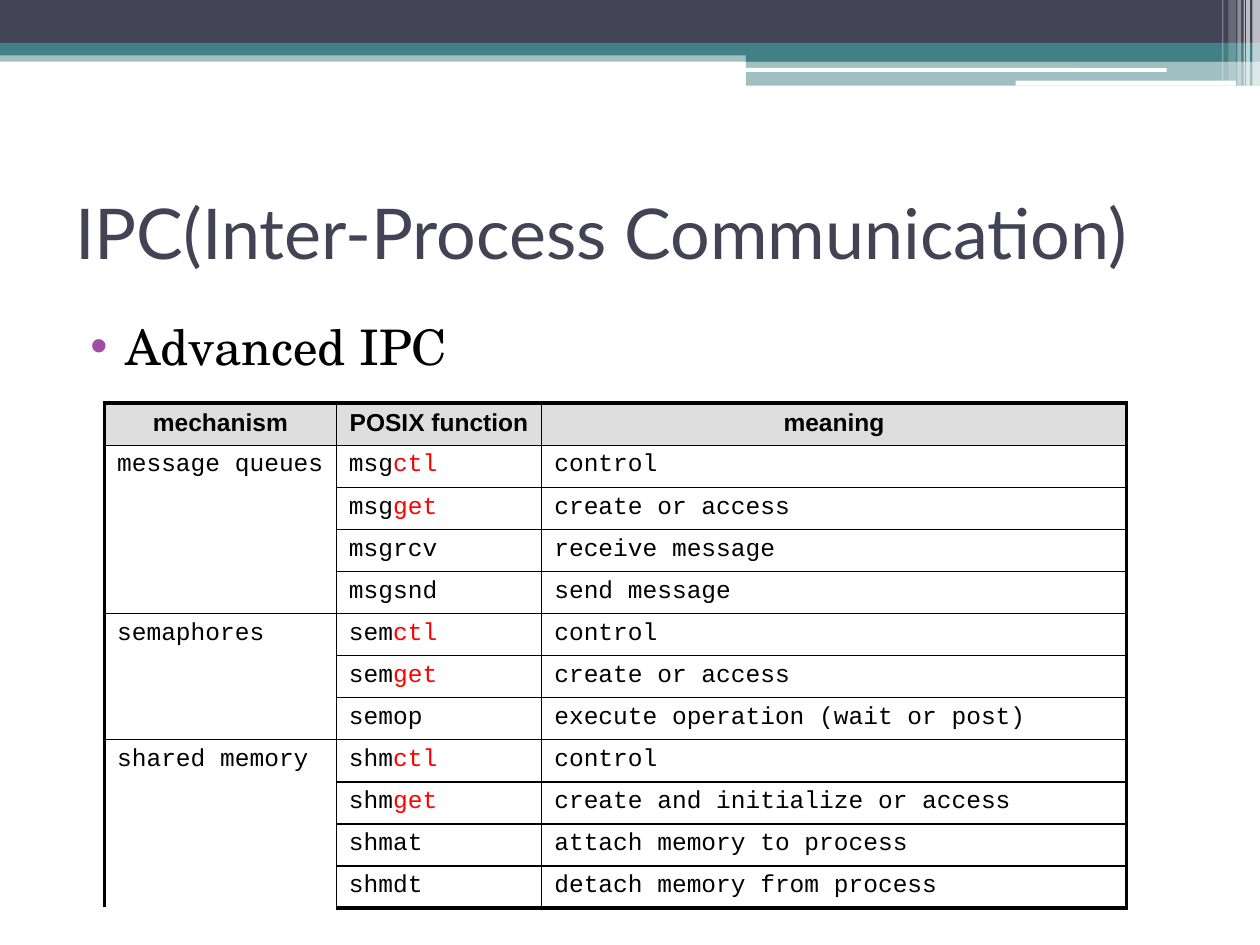
from lxml import etree
from pptx import Presentation
from pptx.dml.color import RGBColor
from pptx.enum.shapes import MSO_SHAPE as SHAPE
from pptx.enum.text import MSO_ANCHOR as ANCHOR, PP_ALIGN as ALIGN
from pptx.oxml.ns import qn
from pptx.util import Inches, Pt

COLORS = {"navy": "424456", "teal": "438086", "white": "FFFFFF", "black": "000000",
          "red": "FF0000", "purple": "A04DA3", "header": "DEDEDE"}
FONTS = {"title": "Lato", "body": "TeX Gyre Schola", "header": "Arial", "code": "Courier New"}

# left, top, width, height, colour, opacity in percent
BANDS = [
    (0, 0.4, 10, 0.09, "teal", 50),
    (0, 0, 10, 0.34, "navy", 100),
    (0, 0.34, 10, 0.1, "teal", 100),
    (5.92, 0.39, 4.08, 0.1, "teal", 100),
    (5.92, 0.48, 4.08, 0.2, "teal", 50),
]
WHITE_BARS = [(5.91, 0.54, 3.35, 0.03), (8.06, 0.64, 1.75, 0.04)]
# left, width, height, opacity in percent
STRIPES = [(9.94, 0.06, 0.68, 65), (9.89, 0.03, 0.68, 65), (9.87, 0.01, 0.68, 60),
           (9.82, 0.03, 0.68, 40), (9.75, 0.06, 0.64, 20), (9.7, 0.01, 0.64, 30)]

HEADERS = ["mechanism", "POSIX function", "meaning"]
# mechanism: (prefix, suffix, meaning)
MECHANISMS = {
    "message queues": [("msg", "ctl", "control"), ("msg", "get", "create or access"),
                       ("msg", "rcv", "receive message"), ("msg", "snd", "send message")],
    "semaphores": [("sem", "ctl", "control"), ("sem", "get", "create or access"),
                   ("sem", "op", "execute operation (wait or post)")],
    "shared memory": [("shm", "ctl", "control"),
                      ("shm", "get", "create and initialize or access"),
                      ("shm", "at", "attach memory to process"),
                      ("shm", "dt", "detach memory from process")],
}
HIGHLIGHTED = {"ctl", "get"}
COLUMN_WIDTHS = [1.84, 1.63, 4.64]
ROW_HEIGHT = 0.32
THIN, THICK = 1, 2.25


def rgb(name):
    return RGBColor.from_string(COLORS[name])


def add_run(paragraph, text, color="black", **font_format):
    run = paragraph.add_run()
    run.text = text
    run.font.color.rgb = rgb(color)
    for attribute, value in font_format.items():
        setattr(run.font, attribute, value)


def add_block(slide, kind, box, color, opacity=100):
    block = slide.shapes.add_shape(kind, *map(Inches, box))
    block.shadow.inherit = False
    block.line.fill.background()
    block.fill.solid()
    block.fill.fore_color.rgb = rgb(color)
    if opacity < 100:
        tone = block.fill._xPr.find(qn("a:solidFill"))[0]
        etree.SubElement(tone, qn("a:alpha"), val=str(opacity * 1000))


def add_banner(slide, left, top):
    for x, y, width, height, color, opacity in BANDS:
        add_block(slide, SHAPE.RECTANGLE, (left + x, top + y, width, height), color, opacity)
    for x, y, width, height in WHITE_BARS:
        add_block(slide, SHAPE.ROUNDED_RECTANGLE, (left + x, top + y, width, height), "white")
    for x, width, height, opacity in STRIPES:
        add_block(slide, SHAPE.RECTANGLE, (left + x, top, width, height), "white", opacity)


def add_text_frame(slide, box, anchor):
    frame = slide.shapes.add_textbox(*map(Inches, box)).text_frame
    frame.word_wrap = True
    frame.vertical_anchor = anchor
    return frame


def add_title(slide, box):
    title = add_text_frame(slide, box, ANCHOR.MIDDLE).paragraphs[0]
    add_run(title, "IPC(Inter-Process Communication)", "navy", name=FONTS["title"], size=Pt(40))


def add_topic(slide, box):
    """Place the bulleted line above the table."""
    topic = add_text_frame(slide, box, ANCHOR.TOP).paragraphs[0]
    topic.space_before = Pt(3)
    add_run(topic, "Advanced IPC", name=FONTS["body"], size=Pt(28))
    properties = topic._p.get_or_add_pPr()
    properties.set("marL", str(Inches(0.4)))
    properties.set("indent", str(Inches(-0.28)))
    bullet_color = etree.SubElement(properties, qn("a:buClr"))
    etree.SubElement(bullet_color, qn("a:srgbClr"), val=COLORS["purple"])
    etree.SubElement(properties, qn("a:buFont"), typeface="Arial")
    etree.SubElement(properties, qn("a:buChar"), char="•")


def set_borders(cell, widths):
    """Draw black borders; widths maps L, R, T and B, in that order, to points."""
    properties = cell._tc.get_or_add_tcPr()
    for side, width in widths.items():
        line = etree.SubElement(properties, qn(f"a:ln{side}"), w=str(Pt(width)))
        fill = etree.SubElement(line, qn("a:solidFill"))
        etree.SubElement(fill, qn("a:srgbClr"), val=COLORS["black"])


def style_cells(table):
    last_row, last_column = len(table.rows) - 1, len(table.columns) - 1
    group_ends = {0}
    for calls in MECHANISMS.values():
        group_ends.add(max(group_ends) + len(calls))
    for r in range(last_row + 1):
        for c in range(last_column + 1):
            cell = table.cell(r, c)
            widths = {"L": THICK if c == 0 else THIN,
                      "R": THICK if c == last_column else THIN}
            if not cell.is_spanned:
                widths["T"] = THICK if r == 0 else THIN
            if c > 0 or r in group_ends:
                widths["B"] = THICK if r == last_row else THIN
            set_borders(cell, widths)
            if r == 0:
                cell.fill.solid()
                cell.fill.fore_color.rgb = rgb("header")
            else:
                cell.fill.background()


def add_mechanism_table(slide, left, top):
    row_count = 1 + sum(map(len, MECHANISMS.values()))
    box = (left, top, sum(COLUMN_WIDTHS), row_count * ROW_HEIGHT)
    table = slide.shapes.add_table(row_count, len(HEADERS), *map(Inches, box)).table
    table.first_row = table.horz_banding = False
    for column, width in zip(table.columns, COLUMN_WIDTHS):
        column.width = Inches(width)
    for row in table.rows:
        row.height = Inches(ROW_HEIGHT)

    for c, header in enumerate(HEADERS):
        heading = table.cell(0, c).text_frame.paragraphs[0]
        heading.alignment = ALIGN.CENTER
        add_run(heading, header, name=FONTS["header"], size=Pt(14), bold=True)

    code = {"name": FONTS["code"], "size": Pt(14), "bold": False}
    r = 1
    for mechanism, calls in MECHANISMS.items():
        group = table.cell(r, 0)
        group.merge(table.cell(r + len(calls) - 1, 0))
        add_run(group.text_frame.paragraphs[0], mechanism, **code)
        for prefix, suffix, meaning in calls:
            function = table.cell(r, 1).text_frame.paragraphs[0]
            if suffix in HIGHLIGHTED:
                add_run(function, prefix, **code)
                add_run(function, suffix, "red", **code)
            else:
                add_run(function, prefix + suffix, **code)
            add_run(table.cell(r, 2).text_frame.paragraphs[0], meaning, **code)
            r += 1
    style_cells(table)


def main():
    deck = Presentation()
    deck.slide_width, deck.slide_height = Inches(10), Inches(7.5)
    slide = deck.slides.add_slide(deck.slide_layouts[6])
    add_banner(slide, 0, 0)
    add_title(slide, (0.5, 1.25, 9, 1.17))
    add_topic(slide, (0.5, 2.46, 9, 4.73))
    add_mechanism_table(slide, 0.83, 3.2)
    deck.save("out.pptx")


if __name__ == "__main__":
    main()
